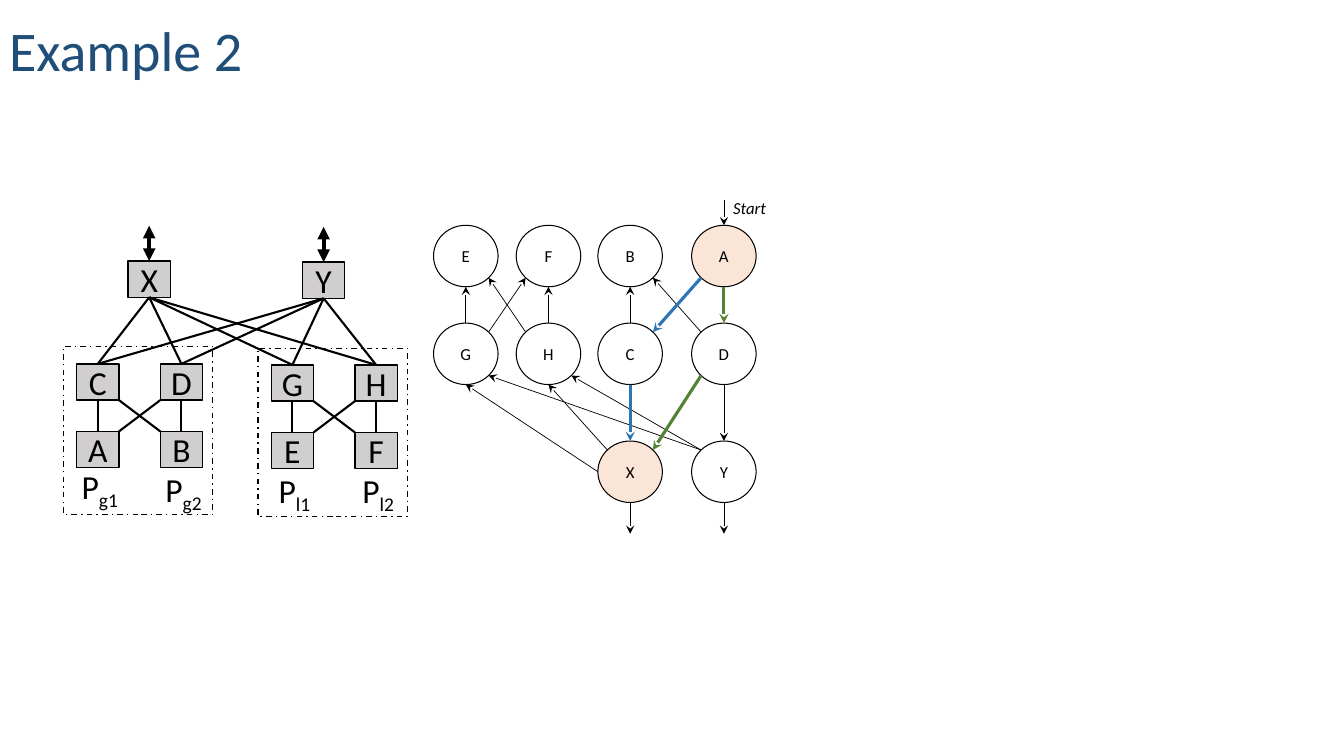
import math
import pptx
import pptx.dml.color
import pptx.enum.dml
import pptx.enum.shapes
import pptx.enum.text
import pptx.oxml.ns
import pptx.util
from lxml import etree

THEME = {
    "font": "Calibri",
    "title": "1F4E79", "ink": "000000", "switch": "D0CECE",
    "state": "FFFFFF", "visited": "FBE5D6", "green": "548235", "blue": "2E75B6",
    "title_pt": 40, "switch_pt": 24, "state_pt": 12,
}
RGB = pptx.dml.color.RGBColor.from_string
In = pptx.util.Inches
Pt = pptx.util.Pt
SHAPE = pptx.enum.shapes.MSO_SHAPE
ALIGN = pptx.enum.text.PP_ALIGN
ANCHOR = pptx.enum.text.MSO_ANCHOR

prs = pptx.Presentation()
prs.slide_width, prs.slide_height = In(13.33), In(7.5)
s = prs.slides.add_slide(prs.slide_layouts[5])


def add_node(kind, cx, cy, w, h, fill, weight, text="", size=12):
    """Draw an outlined shape around its centre, with a centred label."""
    sp = s.shapes.add_shape(kind, In(cx - w / 2), In(cy - h / 2), In(w), In(h))
    sp.shadow.inherit = False
    if fill:
        sp.fill.solid()
        sp.fill.fore_color.rgb = RGB(fill)
    else:
        sp.fill.background()
    sp.line.color.rgb = RGB(THEME["ink"])
    sp.line.width = Pt(weight)
    tf = sp.text_frame
    tf.margin_left = tf.margin_right = tf.margin_top = tf.margin_bottom = 0
    tf.vertical_anchor = ANCHOR.MIDDLE
    if text:
        p = tf.paragraphs[0]
        p.text, p.alignment = text, ALIGN.CENTER
        p.font.name, p.font.size = THEME["font"], Pt(size)
        p.font.color.rgb = RGB(THEME["ink"])
    return sp


def add_line(begin, end, weight, color=THEME["ink"], head=None, tail=None):
    """Draw a straight connector between two points."""
    c = s.shapes.add_connector(pptx.enum.shapes.MSO_CONNECTOR.STRAIGHT,
                               In(begin[0]), In(begin[1]), In(end[0]), In(end[1]))
    c.line.color.rgb = RGB(color)
    c.line.width = Pt(weight)
    ln = c.line._get_or_add_ln()
    for tag, arrow in (("a:headEnd", head), ("a:tailEnd", tail)):
        if arrow:
            etree.SubElement(ln, pptx.oxml.ns.qn(tag)).set("type", arrow)
    etree.SubElement(c._element.spPr, pptx.oxml.ns.qn("a:effectLst"))
    return c


# Title
title = s.shapes.title
title.left, title.top, title.width, title.height = In(-0.01), In(-0.05), In(6.57), In(0.93)
tf = title.text_frame
tf.vertical_anchor = ANCHOR.BOTTOM
tf.auto_size = pptx.enum.text.MSO_AUTO_SIZE.NONE
p = tf.paragraphs[0]
p.text, p.alignment, p.line_spacing = "Example 2", ALIGN.LEFT, 0.9
p.font.name, p.font.size = THEME["font"], Pt(THEME["title_pt"])
p.font.color.rgb = RGB(THEME["title"])

# Network switches: two spines, and two pods of two columns by two rows
SW, SH = 0.42, 0.36
POD_STEP, POD_GAP, ROW_GAP = 0.83, 1.93, 0.67
centres = {"X": (1.48, 2.77), "Y": (3.21, 2.78)}
for pod, names in enumerate(("CDAB", "GHEF")):
    for i, name in enumerate(names):
        row, col = divmod(i, 2)
        centres[name] = (0.97 + pod * POD_GAP + col * POD_STEP,
                         3.79 + pod * 0.01 + row * ROW_GAP)
switches = {name: add_node(SHAPE.RECTANGLE, x, y, SW, SH, THEME["switch"], 1,
                           name, THEME["switch_pt"])
            for name, (x, y) in centres.items()}

# Links from the bottom of one switch to the top of another
for upper, lower in ("XC", "YC", "XD", "YH", "YG", "YD", "XH", "XG",
                     "CA", "DB", "GE", "HF"):
    c = add_line(centres[upper], centres[lower], 1.5)
    c.begin_connect(switches[upper], 2)
    c.end_connect(switches[lower], 0)

# Crossed links run corner to corner inside each pod
for upper, lower, side in (("D", "A", -1), ("C", "B", 1), ("H", "E", -1), ("G", "F", 1)):
    (x1, y1), (x2, y2) = centres[upper], centres[lower]
    add_line((x1 + side * SW / 2, y1 + SH / 2), (x2 - side * SW / 2, y2 - SH / 2), 1.5)

# Outside links of the spines
for spine in "XY":
    x, y = centres[spine]
    c = add_line((x, y - 0.53), (x, y - SH / 2), 3, head="triangle", tail="triangle")
    c.end_connect(switches[spine], 0)

# Pod frames
for pod in range(2):
    frame = add_node(SHAPE.RECTANGLE, 1.37 + pod * POD_GAP, 4.27 + pod * 0.02,
                     1.48, 1.67, None, 1)
    frame.line.dash_style = pptx.enum.dml.MSO_LINE.DASH_DOT

# Prefix labels below the pods
for name, prefix, top in (("A", "g1", 4.57), ("B", "g2", 4.6),
                          ("E", "l1", 4.61), ("F", "l2", 4.61)):
    tb = s.shapes.add_textbox(In(centres[name][0] - 0.29), In(top), In(0.62), In(0.5))
    tb.text_frame.word_wrap = True
    p = tb.text_frame.paragraphs[0]
    p.alignment = ALIGN.CENTER
    p.add_run().text = "P"
    r = p.add_run()
    r.text = prefix
    r.font._element.set("baseline", "-25000")
    p.font.name, p.font.size = THEME["font"], Pt(THEME["switch_pt"])
    p.font.color.rgb = RGB(THEME["ink"])

# State graph: circles on a grid of four columns and three rows
CW, CH = 0.64, 0.61
COLS, ROWS = (4.62, 5.44, 6.25, 7.18), (2.54, 3.51, 4.68)
states = {}
for y, names in zip(ROWS, ("EFBA", "GHCD", "XY")):
    for x, name in zip(COLS[-len(names):], names):
        states[name] = (x, y)
        fill = THEME["visited" if name in "AX" else "state"]
        add_node(SHAPE.OVAL, x, y, CW, CH, fill, 0.75, name, THEME["state_pt"])

# Transitions: sites count in eighths of a turn, anticlockwise from the top
THIN, BLUE, GREEN = (0.5, THEME["ink"]), (2.25, THEME["blue"]), (2.25, THEME["green"])
for (source, target), sites, style in (
        ("GE", (0, 4), THIN), ("GF", (7, 3), THIN), ("HF", (0, 4), THIN),
        ("HE", (1, 5), THIN), ("CB", (0, 4), THIN), ("DB", (1, 5), THIN),
        ("XG", (2, 4), THIN), ("XH", (1, 4), THIN), ("YH", (1, 5), THIN),
        ("YG", (1, 5), THIN), ("DY", (4, 0), THIN), ("AD", (4, 0), GREEN),
        ("DX", (3, 7), GREEN), ("AC", (3, 7), BLUE), ("CX", (4, 0), BLUE)):
    ends = [(states[n][0] - CW / 2 * math.sin(site * math.pi / 4),
             states[n][1] - CH / 2 * math.cos(site * math.pi / 4))
            for n, site in zip((source, target), sites)]
    add_line(*ends, *style, tail="stealth")

# Entry and exit arrows
x, y = states["A"]
add_line((x, 1.98), (x, y - CH / 2), *THIN, tail="stealth")
for name in "XY":
    x, y = states[name]
    add_line((x, y + CH / 2), (x, y + CH / 2 + 0.31), *THIN, tail="stealth")

# Start label
tb = s.shapes.add_textbox(In(7.17), In(1.91), In(0.53), In(0.3))
tb.text_frame.word_wrap = False
p = tb.text_frame.paragraphs[0]
p.text, p.alignment = "Start", ALIGN.CENTER
p.font.name, p.font.size, p.font.italic = THEME["font"], Pt(THEME["state_pt"]), True
p.font.color.rgb = RGB(THEME["ink"])

prs.save("out.pptx")
